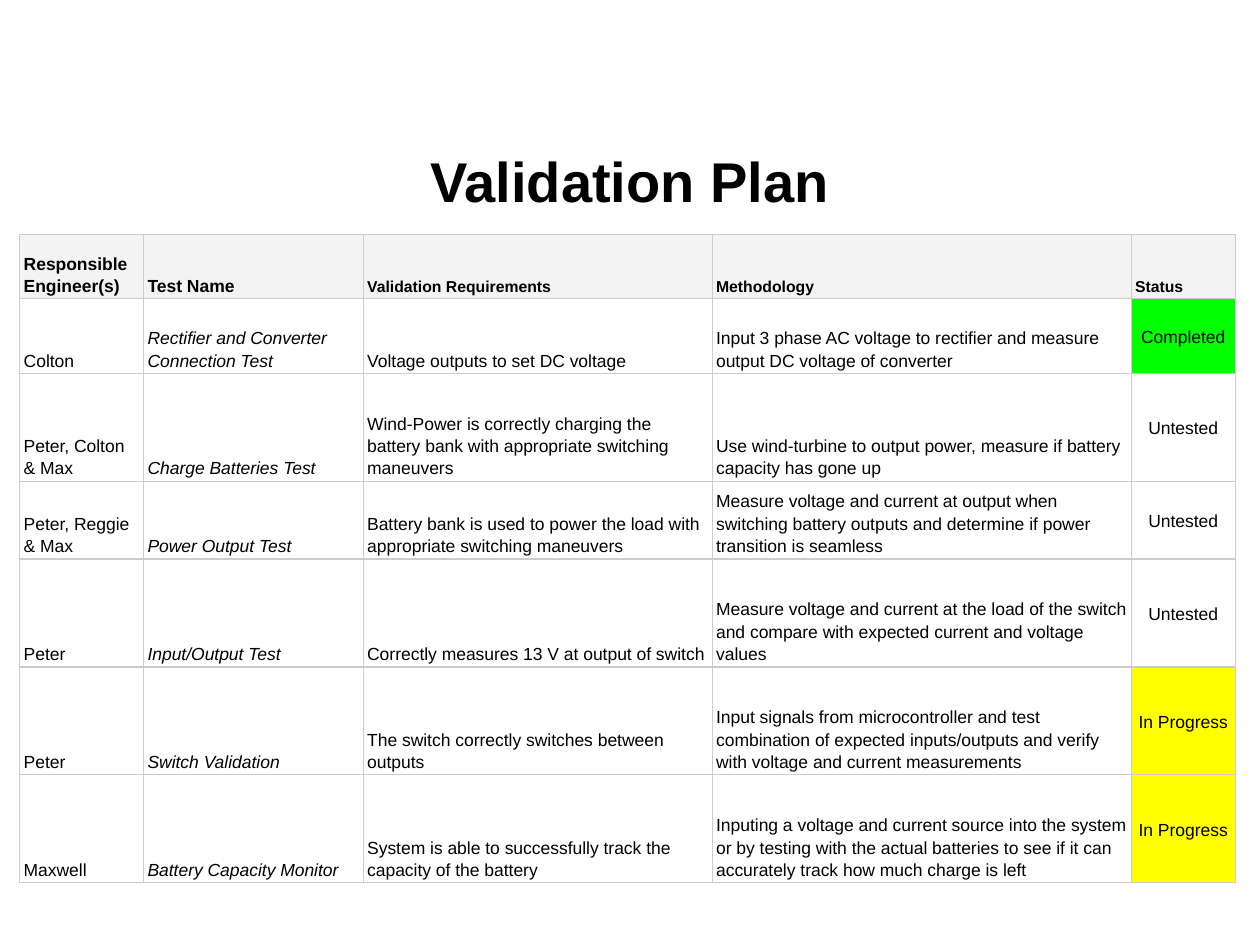
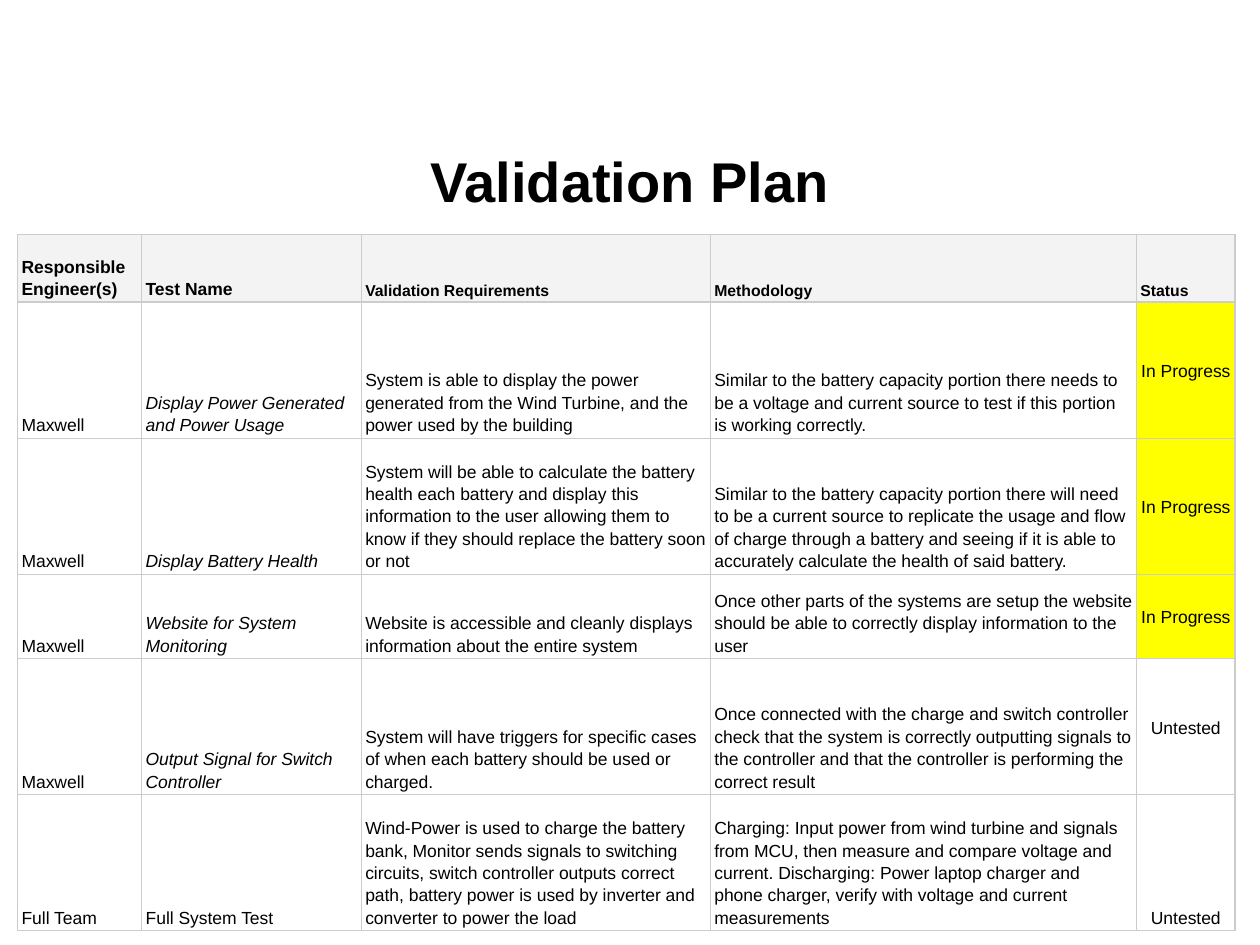
from dataclasses import dataclass

import lxml.etree
import pptx
import pptx.dml.color
import pptx.enum.text
import pptx.oxml.ns
import pptx.presentation
import pptx.slide
import pptx.table
import pptx.util

Pt = pptx.util.Pt
Align = pptx.enum.text.PP_ALIGN
Anchor = pptx.enum.text.MSO_ANCHOR

COLORS = {
    "text": "000000",
    "border": "CCCCCC",
    "header": "F3F3F3",
    "Completed": "00FF00",
    "In Progress": "FFFF00",
    "Untested": "FFFFFF",
    "body": "FFFFFF",
}
FONT = "Arial"
TITLE = "Validation Plan"
HEADINGS = ("Responsible Engineer(s)", "Test Name", "Validation Requirements", "Methodology", "Status")
HEADING_SIZES = (10, 10, 9, 9, 9)
TABLE_TOP = 134


@dataclass(frozen=True)
class ValidationTest:
    engineers: str
    name: str
    requirement: str
    methodology: str
    status: str
    height: float
    name_italic: bool = True
    status_anchor: Anchor = Anchor.MIDDLE


@dataclass(frozen=True)
class PlanPage:
    left: float
    column_widths: tuple[float, ...]
    header_height: float
    tests: tuple[ValidationTest, ...]


@dataclass(frozen=True)
class CellStyle:
    fill: str = "body"
    size: float = 10
    bold: bool = False
    italic: bool = False
    align: Align = Align.LEFT
    anchor: Anchor = Anchor.BOTTOM


PAGES = (
    PlanPage(11.3, (70.8, 125.5, 199.4, 239.4, 59.5), 36.8, (
        ValidationTest(
            "Colton", "Rectifier and Converter Connection Test",
            "Voltage outputs to set DC voltage",
            "Input 3 phase AC voltage to rectifier and measure output DC voltage of converter",
            "Completed", 42.6),
        ValidationTest(
            "Peter, Colton & Max", "Charge Batteries Test",
            "Wind-Power is correctly charging the battery bank with appropriate switching maneuvers",
            "Use wind-turbine to output power, measure if battery capacity has gone up",
            "Untested", 61.7),
        ValidationTest(
            "Peter, Reggie & Max", "Power Output Test",
            "Battery bank is used to power the load with appropriate switching maneuvers",
            "Measure voltage and current at output when switching battery outputs "
            "and determine if power transition is seamless",
            "Untested", 42.6),
        ValidationTest(
            "Peter", "Input/Output Test",
            "Correctly measures 13 V at output of switch",
            "Measure voltage and current at the load of the switch and compare "
            "with expected current and voltage values",
            "Untested", 61.7),
        ValidationTest(
            "Peter", "Switch Validation",
            "The switch correctly switches between outputs",
            "Input signals from microcontroller and test combination of expected "
            "inputs/outputs and verify with voltage and current measurements",
            "In Progress", 61.7),
        ValidationTest(
            "Maxwell", "Battery Capacity Monitor",
            "System is able to successfully track the capacity of the battery",
            "Inputing a voltage and current source into the system or by testing with the "
            "actual batteries to see if it can accurately track how much charge is left",
            "In Progress", 61.7),
    )),
    PlanPage(10.1, (70.9, 125.5, 199.5, 243.5, 56.3), 38.6, (
        ValidationTest(
            "Maxwell", "Display Power Generated and Power Usage",
            "System is able to display the power generated from the Wind Turbine, "
            "and the power used by the building",
            "Similar to the battery capacity portion there needs to be a voltage and "
            "current source to test if this portion is working correctly.",
            "In Progress", 77.8),
        ValidationTest(
            "Maxwell", "Display Battery Health",
            "System will be able to calculate the battery health each battery and display this "
            "information to the user allowing them to know if they should replace the battery soon or not",
            "Similar to the battery capacity portion there will need to be a current source to "
            "replicate the usage and flow of charge through a battery and seeing if it is able to "
            "accurately calculate the health of said battery.",
            "In Progress", 77.8),
        ValidationTest(
            "Maxwell", "Website for System Monitoring",
            "Website is accessible and cleanly displays\ninformation about the entire system",
            "Once other parts of the systems are setup the website should be able to "
            "correctly display information to the user",
            "In Progress", 48.2),
        ValidationTest(
            "Maxwell", "Output Signal for Switch Controller",
            "System will have triggers for specific cases of when each battery should be used or charged.",
            "Once connected with the charge and switch controller check that the system is correctly "
            "outputting signals to the controller and that the controller is performing the correct result",
            "Untested", 77.8),
        ValidationTest(
            "Full Team", "Full System Test",
            "Wind-Power is used to charge the battery bank, Monitor sends signals to switching circuits, "
            "switch controller outputs correct path, battery power is used by inverter and converter "
            "to power the load",
            "Charging: Input power from wind turbine and signals from MCU, then measure and compare "
            "voltage and current. Discharging: Power laptop charger and phone charger, verify with "
            "voltage and current measurements",
            "Untested", 77.8, name_italic=False, status_anchor=Anchor.BOTTOM),
    )),
)


def rgb(key: str) -> pptx.dml.color.RGBColor:
    return pptx.dml.color.RGBColor.from_string(COLORS[key])


def set_font(paragraph, size: float, bold: bool, italic: bool = False) -> None:
    font = paragraph.font
    font.name, font.size, font.bold, font.italic = FONT, Pt(size), bold, italic
    font.color.rgb = rgb("text")


def add_title(slide: pptx.slide.Slide) -> None:
    title = slide.shapes.add_textbox(Pt(36), Pt(71.5), Pt(648), Pt(63))
    frame = title.text_frame
    frame.word_wrap = True
    frame.vertical_anchor = Anchor.MIDDLE
    frame.text = TITLE
    heading = frame.paragraphs[0]
    heading.alignment = Align.CENTER
    set_font(heading, 32, bold=True)


def add_borders(cell: pptx.table._Cell) -> None:
    qn = pptx.oxml.ns.qn
    properties = cell._tc.get_or_add_tcPr()
    for side in ("a:lnL", "a:lnR", "a:lnT", "a:lnB"):
        line = lxml.etree.SubElement(properties, qn(side), w=str(Pt(0.75)))
        fill = lxml.etree.SubElement(line, qn("a:solidFill"))
        lxml.etree.SubElement(fill, qn("a:srgbClr"), val=COLORS["border"])


def fill_cell(cell: pptx.table._Cell, text: str, style: CellStyle) -> None:
    add_borders(cell)
    cell.fill.solid()
    cell.fill.fore_color.rgb = rgb(style.fill)
    cell.margin_left = cell.margin_right = Pt(2.25)
    cell.margin_top = cell.margin_bottom = Pt(1.5)
    cell.vertical_anchor = style.anchor
    cell.text = text
    for paragraph in cell.text_frame.paragraphs:
        paragraph.alignment = style.align
        paragraph.line_spacing = 1.15
        set_font(paragraph, style.size, style.bold, style.italic)


def add_plan(slide: pptx.slide.Slide, page: PlanPage) -> None:
    heights = (page.header_height, *(test.height for test in page.tests))
    plan = slide.shapes.add_table(
        len(heights), len(HEADINGS), Pt(page.left), Pt(TABLE_TOP),
        Pt(sum(page.column_widths)), Pt(sum(heights))).table
    plan.first_row = plan.horz_banding = False
    for column, width in zip(plan.columns, page.column_widths):
        column.width = Pt(width)
    for row, height in zip(plan.rows, heights):
        row.height = Pt(height)
    for column, (heading, size) in enumerate(zip(HEADINGS, HEADING_SIZES)):
        fill_cell(plan.cell(0, column), heading, CellStyle("header", size, bold=True))
    for row, test in enumerate(page.tests, start=1):
        entries = (
            (test.engineers, CellStyle()),
            (test.name, CellStyle(italic=test.name_italic)),
            (test.requirement, CellStyle()),
            (test.methodology, CellStyle()),
            (test.status, CellStyle(test.status, align=Align.CENTER, anchor=test.status_anchor)),
        )
        for column, (text, style) in enumerate(entries):
            fill_cell(plan.cell(row, column), text, style)


def main() -> None:
    deck = pptx.Presentation()
    deck.slide_width, deck.slide_height = Pt(720), Pt(540)
    for page in PAGES:
        slide = deck.slides.add_slide(deck.slide_layouts[6])
        add_title(slide)
        add_plan(slide, page)
    deck.save("out.pptx")


if __name__ == "__main__":
    main()
